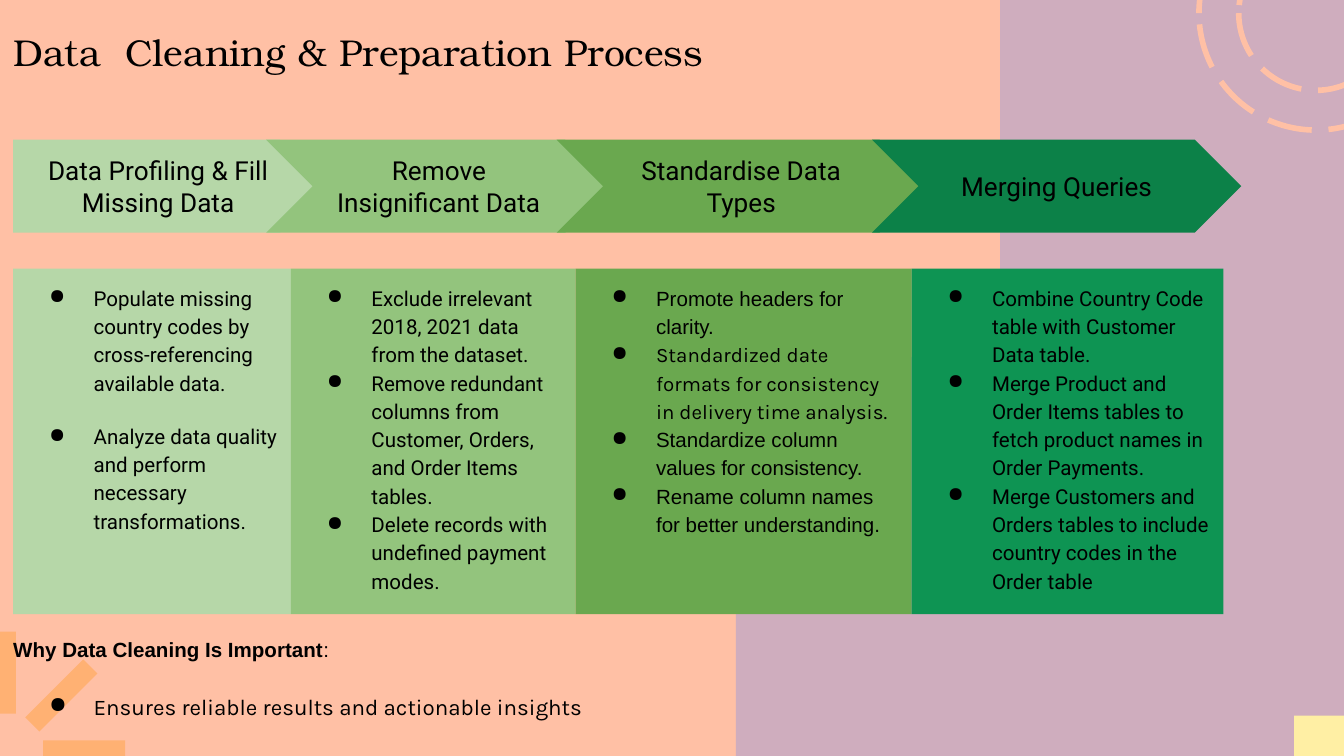
from lxml import etree
from pptx import Presentation
from pptx.dml.color import RGBColor
from pptx.enum import dml, shapes, text
from pptx.oxml.ns import qn
from pptx.util import Cm, Pt

PEACH = RGBColor(0xFF, 0xC0, 0xA5)
MAUVE = RGBColor(0xCF, 0xAD, 0xBE)
ORANGE = RGBColor(0xFF, 0xB1, 0x73)
CREAM = RGBColor(0xFF, 0xEF, 0xA4)
BLACK = RGBColor(0, 0, 0)
PALE = RGBColor(0xB6, 0xD7, 0xA8)
LIGHT = RGBColor(0x93, 0xC4, 0x7D)
MID = RGBColor(0x6A, 0xA8, 0x4F)
DEEP = RGBColor(0x0C, 0x81, 0x48)
GREEN = RGBColor(0x0E, 0x94, 0x53)

KIND = shapes.MSO_SHAPE
EDGE = 0.25  # left edge of arrows and panels

# Heading, arrow (left, width, colour), panel (width, colour),
# gap between points, points as (text, font)
STEPS = [
    ("Data Profiling & Fill Missing Data", (EDGE, 5.92, PALE), (5.25, PALE), 13.4, [
        ("Populate missing country codes by cross-referencing available data.", "Roboto"),
        ("Analyze data quality and perform necessary transformations.", "Roboto")]),
    ("Remove Insignificant Data", (5.03, 6.53, LIGHT), (5.38, LIGHT), 0, [
        ("Exclude irrelevant 2018, 2021 data from the dataset.", "Roboto"),
        ("Remove redundant columns from Customer, Orders, and Order Items tables.", "Roboto"),
        ("Delete records with undefined payment modes.", "Roboto")]),
    ("Standardise Data Types", (10.52, 6.98, MID), (6.35, MID), 0, [
        ("Promote headers for clarity.", "Arial"),
        ("Standardized date formats for consistency in delivery time analysis.", "Karla"),
        ("Standardize column values for consistency.", "Arial"),
        ("Rename column names for better understanding.", "Arial")]),
    ("Merging Queries", (16.48, 6.98, DEEP), (5.89, GREEN), 0, [
        ("Combine Country Code table with Customer Data table.", "Roboto"),
        ("Merge Product and Order Items tables to fetch product names in Order Payments.",
         "Roboto"),
        ("Merge Customers and Orders tables to include country codes in the Order table",
         "Roboto")]),
]


def box(slide, kind, left, top, width, height, fill=None, turn=0):
    """Add a preset shape without outline or shadow."""
    shape = slide.shapes.add_shape(kind, Cm(left), Cm(top), Cm(width), Cm(height))
    shape.shadow.inherit = False
    shape.rotation = turn
    shape.line.fill.background()
    if fill is None:
        shape.fill.background()
    else:
        shape.fill.solid()
        shape.fill.fore_color.rgb = fill
    return shape


def label(slide, left, top, width, height):
    return slide.shapes.add_textbox(Cm(left), Cm(top), Cm(width), Cm(height))


def bullet(para):
    """Give a paragraph a hanging black dot."""
    props = para._p.get_or_add_pPr()
    props.set("marL", str(Cm(1.27)))
    props.set("indent", str(Cm(-0.84)))
    tint = etree.SubElement(props, qn("a:buClr"))
    etree.SubElement(tint, qn("a:srgbClr"), val=str(BLACK))
    etree.SubElement(props, qn("a:buChar"), char="●")


def write(shape, paras, size=11, font="Arial", align=text.PP_ALIGN.LEFT,
          anchor=text.MSO_ANCHOR.TOP, space=None, gap=0, dots=False):
    """Fill a shape; each paragraph is a list of (text, font, bold) runs."""
    frame = shape.text_frame
    frame.word_wrap = True
    frame.auto_size = text.MSO_AUTO_SIZE.NONE
    frame.vertical_anchor = anchor
    frame.margin_left = frame.margin_right = Cm(0.25)
    frame.margin_top = frame.margin_bottom = Cm(0.25)
    for i, runs in enumerate(paras):
        para = frame.add_paragraph() if i else frame.paragraphs[0]
        para.alignment = align
        if space:
            para.line_spacing = space
        if gap and i:
            para.space_before = Pt(gap)
        if dots:
            bullet(para)
        for words, face, bold in runs:
            run = para.add_run()
            run.text = words
            run.font.name = face or font
            run.font.size = Pt(size)
            run.font.bold = bold
            run.font.color.rgb = BLACK


def decor(slide):
    # Orange rays in the corner
    for left, top, turn in [(-0.08, 11.94, 0), (1.4, 13.41, 270), (0.97, 12.37, 225)]:
        box(slide, KIND.RECTANGLE, left, top, 0.38, 1.55, ORANGE, turn)
    # Mauve blocks and cream corner
    box(slide, KIND.RECTANGLE, 13.91, 6.75, 11.59, 7.67, MAUVE)
    box(slide, KIND.RECTANGLE, 18.9, -0.23, 6.55, 6.98, MAUVE)
    box(slide, KIND.RECTANGLE, 24.46, 13.53, 0.94, 0.9, CREAM)
    # Dashed rings
    ring = box(slide, KIND.DONUT, 22.66, -1.96, 4.42, 4.42)
    ring.adjustments[0] = 0.17
    ring.line.color.rgb = PEACH
    ring.line.width = Pt(3)
    ring.line.dash_style = dml.MSO_LINE.LONG_DASH


def steps(slide):
    edge = EDGE
    for i, (head, (left, span, tint), (width, fill), gap, points) in enumerate(STEPS):
        kind = KIND.CHEVRON if i else KIND.PENTAGON
        arrow = box(slide, kind, left, 2.64, span, 1.76, tint)
        write(arrow, [[(head, None, False)]], size=14, font="Roboto",
              align=text.PP_ALIGN.CENTER, anchor=text.MSO_ANCHOR.MIDDLE)
        panel = box(slide, KIND.RECTANGLE, edge, 5.08, width, 6.53, fill)
        write(panel, [[(words, face, False)] for words, face in points],
              space=1.15, gap=gap, dots=True)
        edge += width


def main():
    deck = Presentation()
    deck.slide_width, deck.slide_height = Cm(25.4), Cm(14.29)
    slide = deck.slides.add_slide(deck.slide_layouts[5])
    slide.background.fill.solid()
    slide.background.fill.fore_color.rgb = PEACH

    # Title
    title = slide.shapes.title
    title.left, title.top, title.width, title.height = Cm(0), Cm(0.3), Cm(16.31), Cm(1.75)
    write(title, [[("Data  Cleaning & Preparation Process", None, False)]],
          size=20, font="TeX Gyre Bonum")

    decor(slide)
    steps(slide)

    # Closing note
    write(label(slide, 0, 11.79, 15.52, 1.75),
          [[("Why Data Cleaning Is Important", None, True), (":", None, False)]])
    write(label(slide, EDGE, 12.85, 12.73, 0.69),
          [[("Ensures reliable results and actionable insights", None, False)]],
          size=12, font="Karla", dots=True)
    deck.save("out.pptx")


if __name__ == "__main__":
    main()
